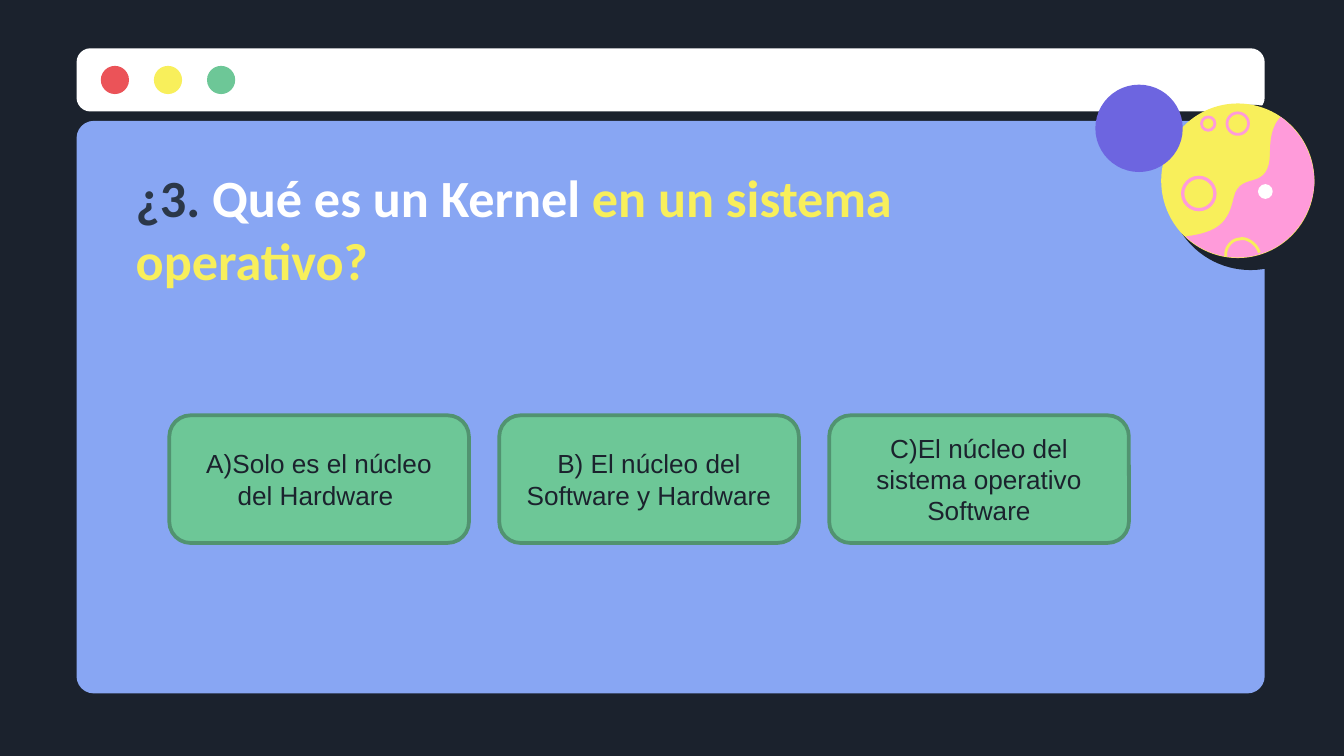
"""Build a quiz slide: a browser window with a question, three answers and a planet."""
from typing import NamedTuple, Optional

from pptx import Presentation
from pptx import util as u
from pptx.dml.color import RGBColor
from pptx.enum import shapes, text

NAVY, WHITE, YELLOW, GREEN, PINK = "1B222D", "FFFFFF", "F8EF5B", "6DC797", "FF9BDA"
Point = tuple[float, float]
Curve = tuple[float, float, float, float, float, float]


class Block(NamedTuple):
    left: float
    top: float
    width: float
    height: float
    fill: Optional[str] = None
    line: Optional[str] = None
    weight: float = 0
    corner: Optional[float] = None


class Run(NamedTuple):
    words: str
    color: str


def rgb(value: str) -> RGBColor:
    return RGBColor.from_string(value)


def apply(target, values: dict) -> None:
    for key, value in values.items():
        setattr(target, key, value)


def paint(shape, fill: Optional[str], line: Optional[str] = None, weight: float = 0) -> None:
    shape.shadow.inherit = False
    if fill:
        shape.fill.solid()
        shape.fill.fore_color.rgb = rgb(fill)
    else:
        shape.fill.background()
    if line:
        shape.line.color.rgb = rgb(line)
        shape.line.width = u.Pt(weight)
    else:
        shape.line.fill.background()


def draw(slide, block: Block):
    rounded = block.corner is not None
    kind = shapes.MSO_SHAPE.ROUNDED_RECTANGLE if rounded else shapes.MSO_SHAPE.OVAL
    shape = slide.shapes.add_shape(kind, *(u.Inches(side) for side in block[:4]))
    if rounded:
        shape.adjustments[0] = block.corner
    paint(shape, block.fill, block.line, block.weight)
    return shape


def bezier_points(start: Point, curves: list[Curve], steps: int = 16) -> list[Point]:
    points = [start]
    for x1, y1, x2, y2, x3, y3 in curves:
        x0, y0 = points[-1]
        for step in range(1, steps + 1):
            t = step / steps
            a, b, c, d = (1 - t) ** 3, 3 * t * (1 - t) ** 2, 3 * t * t * (1 - t), t ** 3
            points.append((a * x0 + b * x1 + c * x2 + d * x3,
                           a * y0 + b * y1 + c * y2 + d * y3))
    return points


def draw_curve(slide, start: Point, curves: list[Curve], close: bool):
    first, *rest = [(u.Inches(x), u.Inches(y)) for x, y in bezier_points(start, curves)]
    builder = slide.shapes.build_freeform(*first)
    builder.add_line_segments(rest, close=close)
    return builder.convert_to_shape()


def draw_window(slide) -> None:
    draw(slide, Block(0.57, 0.36, 8.84, 0.47, WHITE, corner=0.22))
    for index, color in enumerate(("EB5358", YELLOW, GREEN)):
        draw(slide, Block(0.75 + 0.79 / 2 * index, 0.49, 0.21, 0.21, color))
    draw(slide, Block(0.57, 0.9, 8.84, 4.26, "88A6F3", corner=0.03))


def draw_planet(slide) -> None:
    draw(slide, Block(8.69, 0.78, 1.23, 1.23, NAVY))
    draw(slide, Block(8.64, 0.77, 1.14, 1.15, YELLOW))
    for x, y, radius, weight in ((9.21, 0.92, 0.08, 1.5), (8.92, 1.44, 0.12, 1.75),
                                 (8.99, 0.92, 0.05, 1.5)):
        draw(slide, Block(x - radius, y - radius, 2 * radius, 2 * radius,
                          line=PINK, weight=weight))
    land = draw_curve(slide, (9.53, 0.87), [
        (9.61, 0.93, 9.69, 1.02, 9.73, 1.12), (9.76, 1.19, 9.78, 1.27, 9.78, 1.36),
        (9.77, 1.6, 9.61, 1.82, 9.38, 1.89), (9.2, 1.95, 8.98, 1.91, 8.82, 1.76),
        (9.06, 1.73, 9.14, 1.66, 9.18, 1.47), (9.23, 1.26, 9.45, 1.44, 9.45, 1.13),
        (9.45, 0.98, 9.49, 0.91, 9.53, 0.87)], close=True)
    paint(land, PINK)
    crater = draw_curve(slide, (9.12, 1.91), [
        (9.12, 1.88, 9.12, 1.86, 9.14, 1.83), (9.16, 1.8, 9.19, 1.78, 9.22, 1.78),
        (9.25, 1.77, 9.28, 1.78, 9.31, 1.8), (9.34, 1.82, 9.36, 1.85, 9.37, 1.88)],
        close=False)
    paint(crater, None, YELLOW, 1.5)
    draw(slide, Block(9.36, 1.37, 0.11, 0.11, WHITE))
    draw(slide, Block(8.15, 0.63, 0.65, 0.65, "6D65E0"))


def write_question(slide, runs: list[Run]) -> None:
    title = slide.shapes.title
    slide.shapes._spTree.append(title._element)
    apply(title, dict(left=u.Inches(0.91), top=u.Inches(1.13),
                      width=u.Inches(7.48), height=u.Inches(1.52)))
    frame = title.text_frame
    apply(frame, dict(word_wrap=True, auto_size=text.MSO_AUTO_SIZE.NONE,
                      vertical_anchor=text.MSO_ANCHOR.TOP,
                      margin_left=u.Inches(0.1), margin_right=u.Inches(0.1),
                      margin_top=u.Inches(0.1), margin_bottom=u.Inches(0.1)))
    paragraph = frame.paragraphs[0]
    paragraph.alignment = text.PP_ALIGN.LEFT
    for part in runs:
        run = paragraph.add_run()
        run.text = part.words
        apply(run.font, dict(name="Calibri", size=u.Pt(28), bold=True))
        run.font.color.rgb = rgb(part.color)


def draw_answers(slide, answers: list[str]) -> None:
    for index, answer in enumerate(answers):
        button = draw(slide, Block(1.26 + 4.91 / 2 * index, 3.09, 2.23, 0.95,
                                   GREEN, "519370", 2, 1 / 6))
        frame = button.text_frame
        apply(frame, dict(word_wrap=True, vertical_anchor=text.MSO_ANCHOR.MIDDLE))
        paragraph = frame.paragraphs[0]
        paragraph.alignment = text.PP_ALIGN.CENTER
        run = paragraph.add_run()
        run.text = answer
        apply(run.font, dict(name="Arial", size=u.Pt(14)))
        run.font.color.rgb = rgb(NAVY)


def main() -> None:
    deck = Presentation()
    width = u.Inches(10)
    apply(deck, dict(slide_width=width, slide_height=width * 9 // 16))
    slide = deck.slides.add_slide(deck.slide_layouts[5])
    slide.background.fill.solid()
    slide.background.fill.fore_color.rgb = rgb(NAVY)
    draw_window(slide)
    draw_planet(slide)
    write_question(slide, [Run("¿3.", "2B3748"), Run(" Qué es un Kernel ", WHITE),
                           Run("en un sistema operativo?", YELLOW)])
    draw_answers(slide, ["A)Solo es el núcleo del Hardware ",
                         "B) El núcleo del Software y Hardware",
                         "C)El núcleo del sistema operativo Software"])
    deck.save("out.pptx")


if __name__ == "__main__":
    main()
